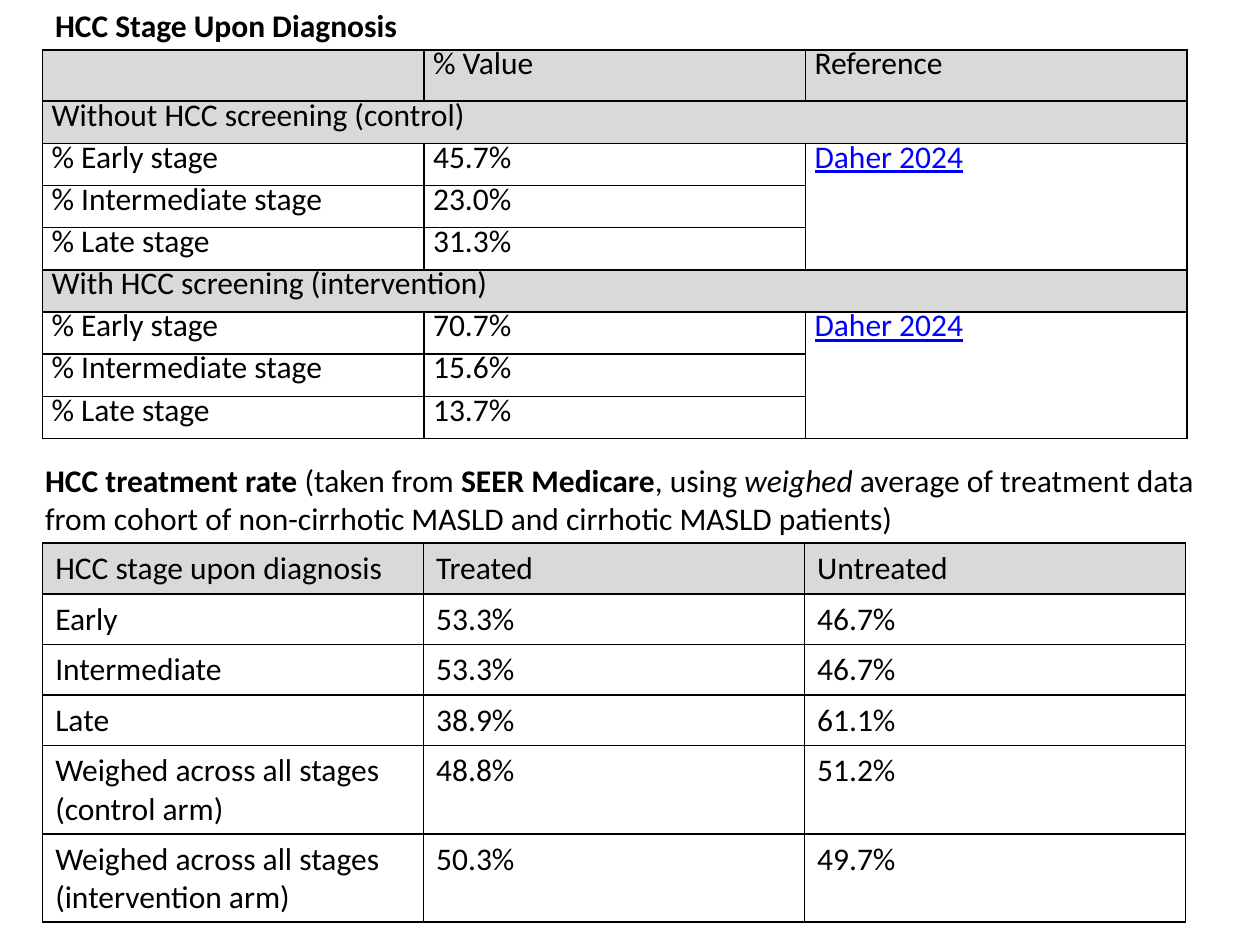
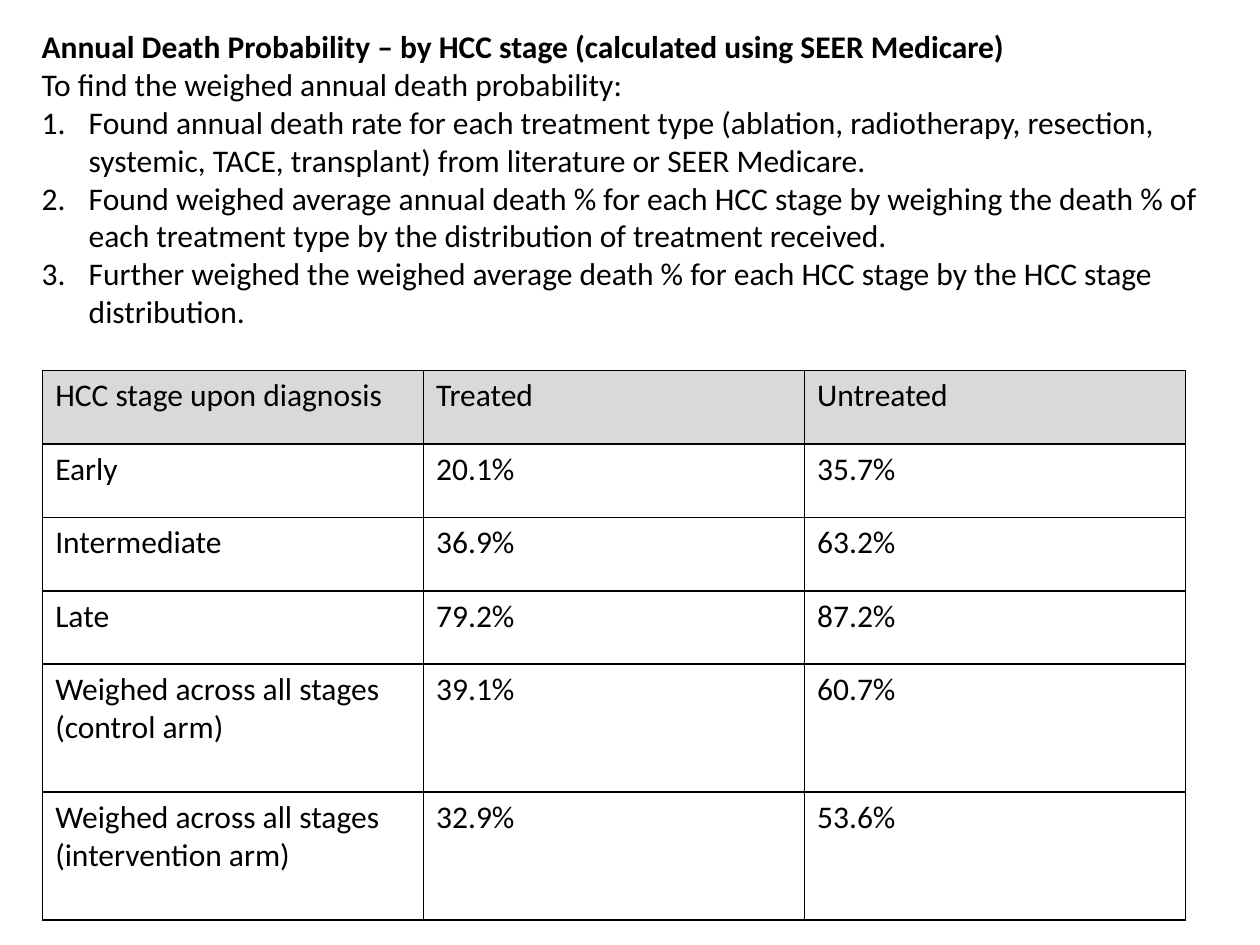
from lxml import etree
from pptx import Presentation
from pptx import util as u
from pptx.dml.color import RGBColor
from pptx.enum import text
from pptx.oxml import ns
from pptx.util import Cm

FONT = "Calibri"
SIZE = u.Pt(18)
BLACK = RGBColor(0x00, 0x00, 0x00)
GRAY = RGBColor(0xD9, 0xD9, 0xD9)
CITATION_BLUE = RGBColor(0x00, 0x00, 0xFF)

TABLE_LEFT = Cm(0.86)
TEXT_WIDTH = Cm(24.28)
ARM_HEADER = ["HCC stage upon diagnosis", "Treated", "Untreated"]
ARM_LABELS = ["Early", "Intermediate", "Late",
              "Weighed across all stages (control arm)",
              "Weighed across all stages (intervention arm)"]


def add_run(p, words, bold=False, italic=False, underline=False, color=BLACK):
    r = p.add_run()
    r.text = words
    f = r.font
    f.name, f.size = FONT, SIZE
    f.bold, f.italic, f.underline = bold, italic, underline
    f.color.rgb = color


def add_text_box(s, left, top, height, paragraphs):
    """Each paragraph is a list of (words, format) runs; returns the paragraphs."""
    tf = s.shapes.add_textbox(left, top, TEXT_WIDTH, height).text_frame
    tf.word_wrap = True
    for i, runs in enumerate(paragraphs):
        p = tf.add_paragraph() if i else tf.paragraphs[0]
        p.alignment = text.PP_ALIGN.LEFT
        for words, style in runs:
            add_run(p, words, **style)
    return tf.paragraphs


def number_paragraph(p, indent=Cm(0.95)):
    pPr = p._p.get_or_add_pPr()
    pPr.set("marL", str(indent))
    pPr.set("indent", str(-indent))
    etree.SubElement(pPr, ns.qn("a:buFont"), typeface="+mj-lt")
    etree.SubElement(pPr, ns.qn("a:buAutoNum"), type="arabicPeriod")


def format_cell(cell, fill=None):
    """Give the cell thin black borders and a plain or empty fill."""
    tcPr = cell._tc.get_or_add_tcPr()
    for side in ("lnL", "lnR", "lnT", "lnB"):
        ln = etree.SubElement(tcPr, ns.qn("a:" + side), w=str(u.Pt(1)))
        solid = etree.SubElement(ln, ns.qn("a:solidFill"))
        etree.SubElement(solid, ns.qn("a:srgbClr"), val=str(BLACK))
    if fill is None:
        cell.fill.background()
    else:
        cell.fill.solid()
        cell.fill.fore_color.rgb = fill


def add_grid(s, top, col_width, heights, rows, gray_rows=(0,)):
    """Add a table of equal columns and return it."""
    n_cols = len(rows[0])
    table = s.shapes.add_table(len(rows), n_cols, TABLE_LEFT, top,
                               col_width * n_cols, sum(heights)).table
    table.first_row = table.horz_banding = False
    for col in table.columns:
        col.width = col_width
    for i, (values, height) in enumerate(zip(rows, heights)):
        table.rows[i].height = height
        for j, value in enumerate(values):
            cell = table.cell(i, j)
            format_cell(cell, GRAY if i in gray_rows else None)
            if value:
                add_run(cell.text_frame.paragraphs[0], value)
    return table


def add_stage_table(s):
    rows = [["", "% Value", "Reference"]]
    stages = ["% Early stage", "% Intermediate stage", "% Late stage"]
    groups = [("Without HCC screening (control)", ["45.7%", "23.0%", "31.3%"]),
              ("With HCC screening (intervention)", ["70.7%", "15.6%", "13.7%"])]
    group_rows = []
    for heading, shares in groups:
        group_rows.append(len(rows))
        rows.append([heading, "", ""])
        rows += [[stage, share, ""] for stage, share in zip(stages, shares)]

    heights = [Cm(1.02)] + [Cm(0.85)] * (len(rows) - 1)
    table = add_grid(s, Cm(1.01), Cm(7.69), heights, rows, [0] + group_rows)
    for i in group_rows:
        table.cell(i, 0).merge(table.cell(i, 2))
        reference = table.cell(i + 1, 2)
        reference.merge(table.cell(i + len(stages), 2))
        add_run(reference.text_frame.paragraphs[0], "Daher 2024",
                underline=True, color=CITATION_BLUE)
    for cell in table.iter_cells():
        cell.margin_left = cell.margin_right = Cm(0.18)
        if cell.text_frame.text:
            cell.text_frame.paragraphs[0].line_spacing = u.Pt(15.4)


def add_arm_table(s, top, stage_height, arm_height, treated, untreated):
    rows = [ARM_HEADER] + [list(row) for row in zip(ARM_LABELS, treated, untreated)]
    add_grid(s, top, Cm(7.68), [stage_height] * 4 + [arm_height] * 2, rows)


def build_stage_slide(s):
    add_stage_table(s)
    add_text_box(s, TABLE_LEFT, Cm(0), Cm(1.02),
                 [[("HCC Stage Upon Diagnosis", {"bold": True})]])
    add_text_box(s, Cm(0.66), Cm(9.17), Cm(1.8), [[
        ("HCC treatment rate ", {"bold": True}),
        ("(taken from ", {}),
        ("SEER Medicare", {"bold": True}),
        (", using ", {}),
        ("weighed ", {"italic": True}),
        ("average of treatment data from cohort of non-cirrhotic MASLD "
         "and cirrhotic MASLD patients)", {}),
    ]])
    add_arm_table(s, Cm(10.95), Cm(1.02), Cm(1.78),
                  ["53.3%", "53.3%", "38.9%", "48.8%", "50.3%"],
                  ["46.7%", "46.7%", "61.1%", "51.2%", "49.7%"])


def build_death_slide(s):
    steps = [
        "Found annual death rate for each treatment type (ablation, radiotherapy, "
        "resection, systemic, TACE, transplant) from literature or SEER Medicare.",
        "Found weighed average annual death % for each HCC stage by weighing the "
        "death % of each treatment type by the distribution of treatment received.",
        "Further weighed the weighed average death % for each HCC stage by the "
        "HCC stage distribution.",
    ]
    title = "Annual Death Probability – by HCC stage (calculated using SEER Medicare)"
    intro = "To find the weighed annual death probability:"
    paragraphs = add_text_box(
        s, Cm(0.59), Cm(0.43), Cm(6.4),
        [[(title, {"bold": True})]] + [[(words, {})] for words in [intro] + steps])
    for p in paragraphs[-len(steps):]:
        number_paragraph(p)
    add_arm_table(s, Cm(7.47), Cm(1.48), Cm(2.58),
                  ["20.1%", "36.9%", "79.2%", "39.1%", "32.9%"],
                  ["35.7%", "63.2%", "87.2%", "60.7%", "53.6%"])


def main():
    prs = Presentation()
    prs.slide_width, prs.slide_height = Cm(25.4), Cm(19.05)
    blank = prs.slide_layouts[6]
    for build in (build_stage_slide, build_death_slide):
        build(prs.slides.add_slide(blank))
    prs.save("out.pptx")


if __name__ == "__main__":
    main()
